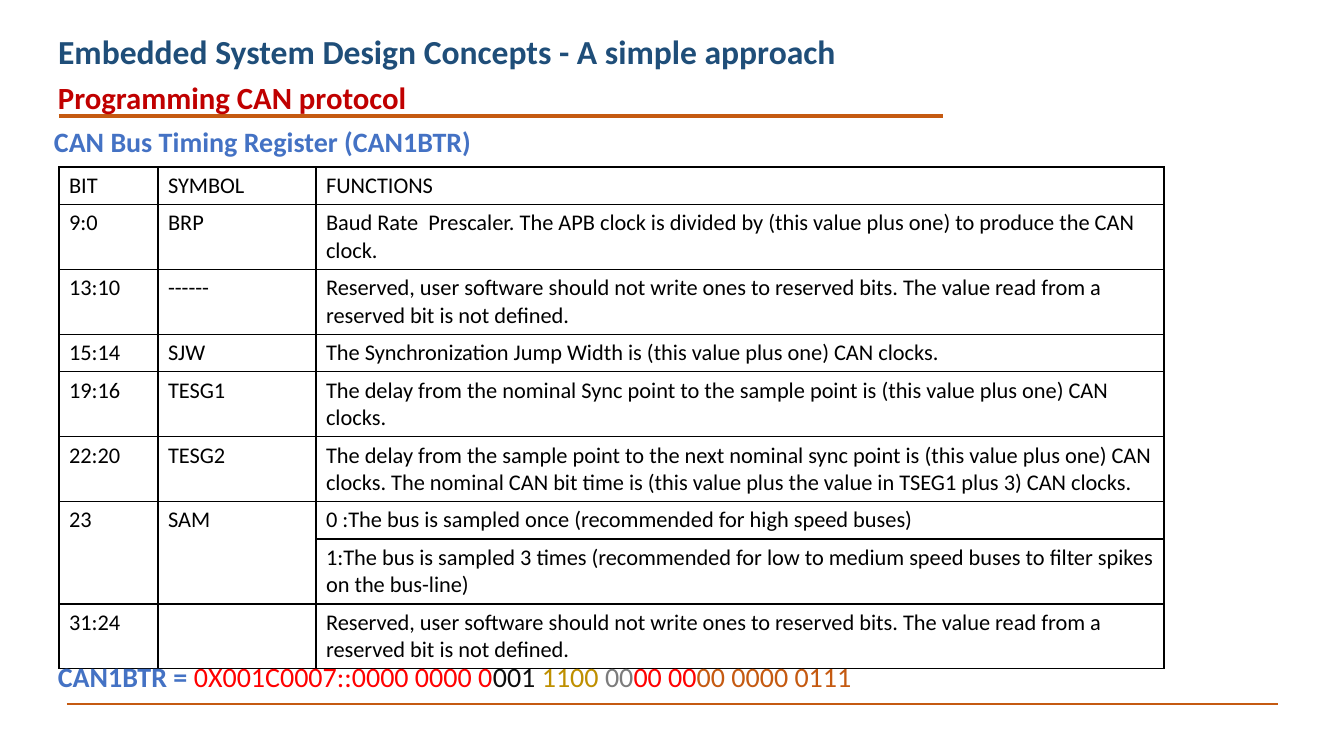
from lxml import etree
from pptx import Presentation
from pptx.dml.color import RGBColor as Rgb
from pptx.enum.shapes import MSO_CONNECTOR as Link
from pptx.enum.text import MSO_ANCHOR as Anchor, PP_ALIGN as Align
from pptx.oxml import parse_xml
from pptx.oxml.ns import nsdecls, qn
from pptx.util import Emu, Pt

FONT = "Calibri"
BLACK = Rgb(0, 0, 0)
NAVY = Rgb(0x1F, 0x4E, 0x79)
CRIMSON = Rgb(0xC0, 0, 0)
BLUE = Rgb(0x44, 0x72, 0xC4)
RED = Rgb(0xFF, 0, 0)
INK = Rgb(0x0D, 0x0D, 0x0D)
GOLD = Rgb(0xBF, 0x90, 0)
GREY = Rgb(0x7C, 0x7C, 0x7C)
RUST = Rgb(0xC5, 0x5A, 0x11)

# Content: text, box in px, size, colour
TITLE = ("Embedded System Design Concepts - A simple approach",
         (48, 26, 827, 51), 24, NAVY)
HEADS = [
    ("Programming CAN protocol", (48, 74, 855, 47), 22, CRIMSON),
    ("CAN Bus Timing Register (CAN1BTR)", (44, 120, 899, 44), 20, BLUE),
]
RESERVED = ("Reserved, user software should not write ones to reserved bits. "
            "The value read from a reserved bit is not defined.")
# Register rows: bit, symbol, function, lines of text
ROWS = [
    ("BIT", "SYMBOL", "FUNCTIONS", 1),
    ("9:0", "BRP", "Baud Rate  Prescaler. The APB clock is divided by "
     "(this value plus one) to produce the CAN clock.", 2),
    ("13:10", "------", RESERVED, 2),
    ("15:14", "SJW", "The Synchronization Jump Width is (this value plus one) "
     "CAN clocks.", 1),
    ("19:16", "TESG1", "The delay from the nominal Sync point to the sample "
     "point is (this value plus one) CAN clocks.", 2),
    ("22:20", "TESG2", "The delay from the sample point to the next nominal "
     "sync point is (this value plus one) CAN clocks. The nominal CAN bit time "
     "is (this value plus the value in TSEG1 plus 3) CAN clocks.", 2),
    ("23", "SAM", "0 :The bus is sampled once (recommended for high speed "
     "buses)", 1),
    ("", "", "1:The bus is sampled 3 times (recommended for low to medium "
     "speed buses to filter spikes on the bus-line)", 2),
    ("31:24", "", RESERVED, 2),
]
SAM_ROW = 6
COLS = (99, 158, 848)
HIGH = {1: 37, 2: 64}
VALUE = [
    ("CAN1BTR = ", BLUE), ("0X001C0007::0000 0000 0", RED), ("001 ", INK),
    ("1100 ", GOLD), ("00", GREY), ("00 00", RED), ("00 0000 0111", RUST),
]
# Rules: left, right, y, points
RULES = [(67, 1278, 704, 1), (59, 943, 116, 3)]


def px(n):
    return Emu(round(n * 914400 / 100.8))


def style(font, size, color, bold=False):
    font.name, font.size, font.bold = FONT, Pt(size), bold
    font.color.rgb = color


def fill_box(shape, text, size, color):
    frame = shape.text_frame
    frame.word_wrap = True
    frame.vertical_anchor = Anchor.TOP
    para = frame.paragraphs[0]
    para.text = text
    para.alignment = Align.LEFT
    style(para.font, size, color, True)


def border(cell):
    props = cell._tc.get_or_add_tcPr()
    for i, side in enumerate(("lnL", "lnR", "lnT", "lnB")):
        props.insert(i, parse_xml(
            f'<a:{side} {nsdecls("a")} w="12700"><a:solidFill>'
            f'<a:srgbClr val="{BLACK}"/></a:solidFill></a:{side}>'))


deck = Presentation()
deck.slide_width, deck.slide_height = px(1344), px(756)
slide = deck.slides.add_slide(deck.slide_layouts[5])
shapes = slide.shapes

# Title
text, box, size, color = TITLE
title = shapes.title
title.left, title.top, title.width, title.height = map(px, box)
fill_box(title, text, size, color)

# Register table
highs = [HIGH[row[3]] for row in ROWS]
grid = shapes.add_table(len(ROWS), len(COLS), px(59), px(167),
                        px(sum(COLS)), px(sum(highs))).table
grid.first_row = grid.horz_banding = False
for col, wide in zip(grid.columns, COLS):
    col.width = px(wide)
for r, (row, high) in enumerate(zip(ROWS, highs)):
    grid.rows[r].height = px(high)
    for c, text in enumerate(row[:3]):
        cell = grid.cell(r, c)
        para = cell.text_frame.paragraphs[0]
        para.text = text
        style(para.font, 16, BLACK)
        cell.fill.background()
        border(cell)
for c in (0, 1):
    grid.cell(SAM_ROW, c).merge(grid.cell(SAM_ROW + 1, c))

# Register value
frame = shapes.add_textbox(*map(px, (48, 655, 826, 44))).text_frame
frame.word_wrap = False
for i, (text, color) in enumerate(VALUE):
    run = frame.paragraphs[0].add_run()
    run.text = text
    style(run.font, 20, color, i == 0)

# Rules
for left, right, y, wide in RULES:
    rule = shapes.add_connector(Link.STRAIGHT, px(left), px(y), px(right), px(y))
    rule.line.color.rgb = RUST
    rule.line.width = Pt(wide)
    etree.SubElement(rule._element.spPr, qn("a:effectLst"))

# Headings
for text, box, size, color in HEADS:
    fill_box(shapes.add_textbox(*map(px, box)), text, size, color)

deck.save("out.pptx")
